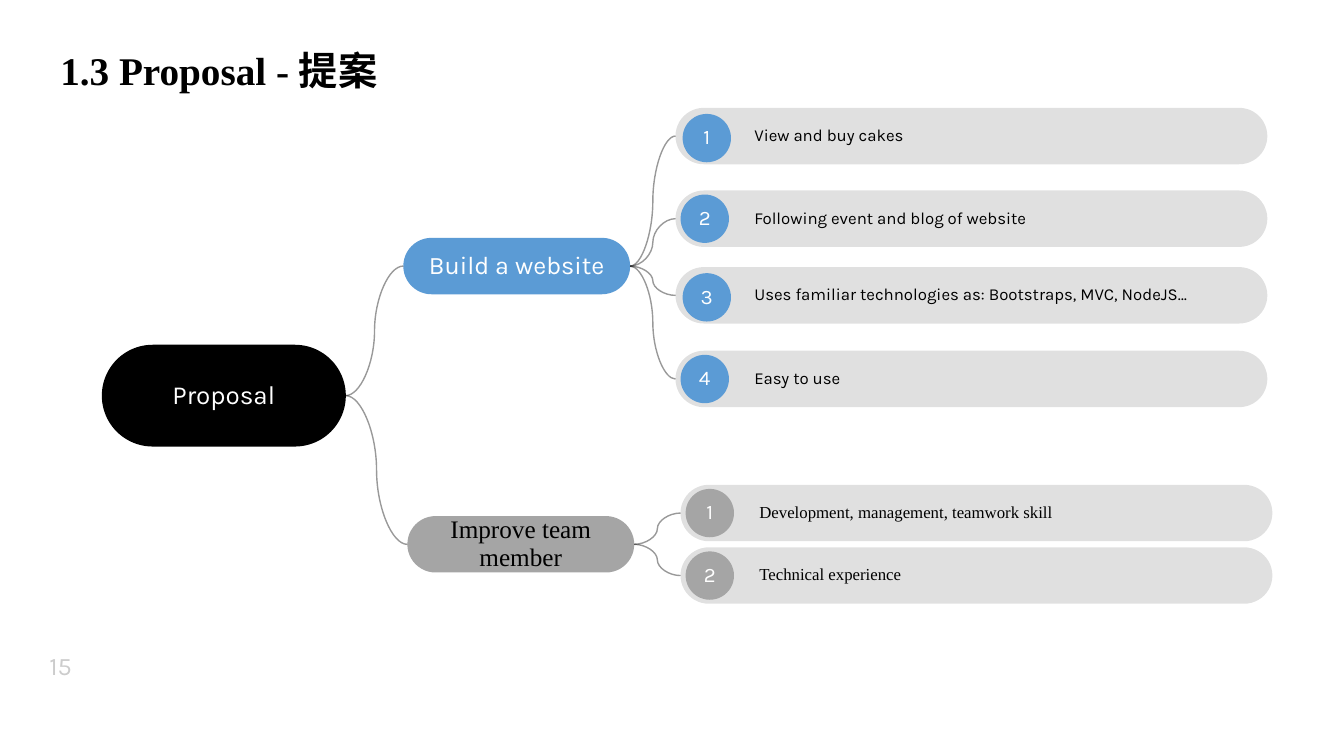
from dataclasses import dataclass

from lxml import etree
from pptx import Presentation
from pptx import util as u
from pptx.dml.color import RGBColor
from pptx.enum import shapes, text
from pptx.oxml.ns import qn

BLACK, WHITE, BLUE, GREY = "000000", "FFFFFF", "5B9BD5", "A5A5A5"
KARLA, TIMES = "Karla", "Times New Roman"
LEFT_SITE, RIGHT_SITE = 1, 3
PILL_HEIGHT = 0.56
BADGE_SIZE = 0.48


@dataclass
class Style:
    size: float
    font: str = KARLA
    colour: str = BLACK
    bold: bool = False
    align: text.PP_ALIGN = text.PP_ALIGN.CENTER


@dataclass
class Item:
    label: str
    top: float
    badge_dx: float = 0.05
    badge_dy: float = 0.04


@dataclass
class Branch:
    label: str
    left: float
    top: float
    fill: str
    style: Style
    items_left: float
    items_font: str
    items: list[Item]


def colour(value: str) -> RGBColor:
    return RGBColor.from_string(value)


def set_opacity(element, percent: int) -> None:
    """Give every RGB colour inside the element an alpha value."""
    for rgb in element.iter(qn("a:srgbClr")):
        etree.SubElement(rgb, qn("a:alpha")).set("val", str(percent * 1000))


def write(shape, words: str, style: Style, insets=(0.05,) * 4, wrap=True,
          anchor=text.MSO_ANCHOR.MIDDLE) -> None:
    frame = shape.text_frame
    frame.text = words
    frame.word_wrap = wrap
    frame.vertical_anchor = anchor
    (frame.margin_left, frame.margin_top,
     frame.margin_right, frame.margin_bottom) = map(u.Inches, insets)
    paragraph = frame.paragraphs[0]
    paragraph.alignment = style.align
    paragraph.line_spacing = 0.9
    font = paragraph.runs[0].font
    font.name, font.size, font.bold = style.font, u.Pt(style.size), style.bold
    font.color.rgb = colour(style.colour)


def add_filled(slide, preset, left: float, top: float, width: float,
               height: float, fill: str):
    shape = slide.shapes.add_shape(
        preset, *map(u.Inches, (left, top, width, height)))
    shape.shadow.inherit = False
    shape.fill.solid()
    shape.fill.fore_color.rgb = colour(fill)
    shape.line.fill.background()
    return shape


def add_pill(slide, left: float, top: float, width: float, height: float,
             fill: str):
    pill = add_filled(slide, shapes.MSO_SHAPE.ROUNDED_RECTANGLE,
                      left, top, width, height, fill)
    pill.adjustments[0] = 0.5
    return pill


def add_curve(slide, parent, child) -> None:
    curve = slide.shapes.add_connector(shapes.MSO_CONNECTOR.CURVE, 0, 0, 0, 0)
    curve.begin_connect(parent, RIGHT_SITE)
    curve.end_connect(child, LEFT_SITE)
    curve.line.width = u.Pt(1)
    curve.line.color.rgb = colour(BLACK)
    set_opacity(curve._element, 40)
    etree.SubElement(curve._element.spPr, qn("a:effectLst"))


def add_item(slide, number: int, item: Item, branch: Branch):
    bar = add_pill(slide, branch.items_left, item.top, 5.87, PILL_HEIGHT, BLACK)
    set_opacity(bar._element, 12)
    write(bar, item.label,
          Style(12, branch.items_font, align=text.PP_ALIGN.LEFT),
          insets=(0.78, 0.05, 0, 0.05))
    bar.text_frame.margin_left = u.Inches(0.7)
    badge = add_filled(slide, shapes.MSO_SHAPE.OVAL,
                       branch.items_left + item.badge_dx,
                       item.top + item.badge_dy,
                       BADGE_SIZE, BADGE_SIZE, branch.fill)
    write(badge, str(number), Style(14.7, colour=WHITE), (0,) * 4, wrap=False)
    return bar


def add_branch(slide, root, branch: Branch) -> None:
    node = add_pill(slide, branch.left, branch.top, 2.25, PILL_HEIGHT,
                    branch.fill)
    write(node, branch.label, branch.style)
    add_curve(slide, root, node)
    for number, item in enumerate(branch.items, 1):
        add_curve(slide, node, add_item(slide, number, item, branch))


def add_text(slide, box: tuple[float, ...], words: str, style: Style, **layout):
    label = slide.shapes.add_textbox(*map(u.Inches, box))
    write(label, words, style, **layout)
    return label


BRANCHES = [
    Branch("Build a website", 4, 2.36, BLUE, Style(18, colour=WHITE),
           6.7, KARLA, [
               Item("View and buy cakes", 1.07, 0.07, 0.06),
               Item("Following event and blog of website", 1.89),
               Item("Uses familiar technologies as: Bootstraps, MVC, NodeJS…",
                    2.65, 0.07, 0.06),
               Item("Easy to use", 3.48),
           ]),
    Branch("Improve team member", 4.04, 5.12, GREY, Style(18, TIMES),
           6.75, TIMES, [
               Item("Development, management, teamwork skill", 4.81),
               Item("Technical experience", 5.43),
           ]),
]


def main() -> None:
    deck = Presentation()
    deck.slide_width, deck.slide_height = u.Inches(13.33), u.Inches(7.5)
    slide = deck.slides.add_slide(deck.slide_layouts[6])

    # Title and page number
    add_text(slide, (0.5, 0.46, 4.95, 1.45), "1.3 Proposal - 提案",
             Style(28, TIMES, bold=True, align=text.PP_ALIGN.LEFT),
             insets=(0.1, 0.05, 0.1, 0.05), anchor=text.MSO_ANCHOR.TOP)
    page_number = add_text(slide, (0.36, 6.44, 0.96, 0.36), "15",
                           Style(18, align=text.PP_ALIGN.LEFT),
                           insets=(0.13, 0.07, 0.13, 0.07))
    set_opacity(page_number._element, 20)

    # Mind map
    root = add_pill(slide, 1.01, 3.42, 2.42, 1.01, BLACK)
    write(root, "Proposal", Style(18.6, colour=WHITE))
    for branch in BRANCHES:
        add_branch(slide, root, branch)

    deck.save("out.pptx")


if __name__ == "__main__":
    main()
